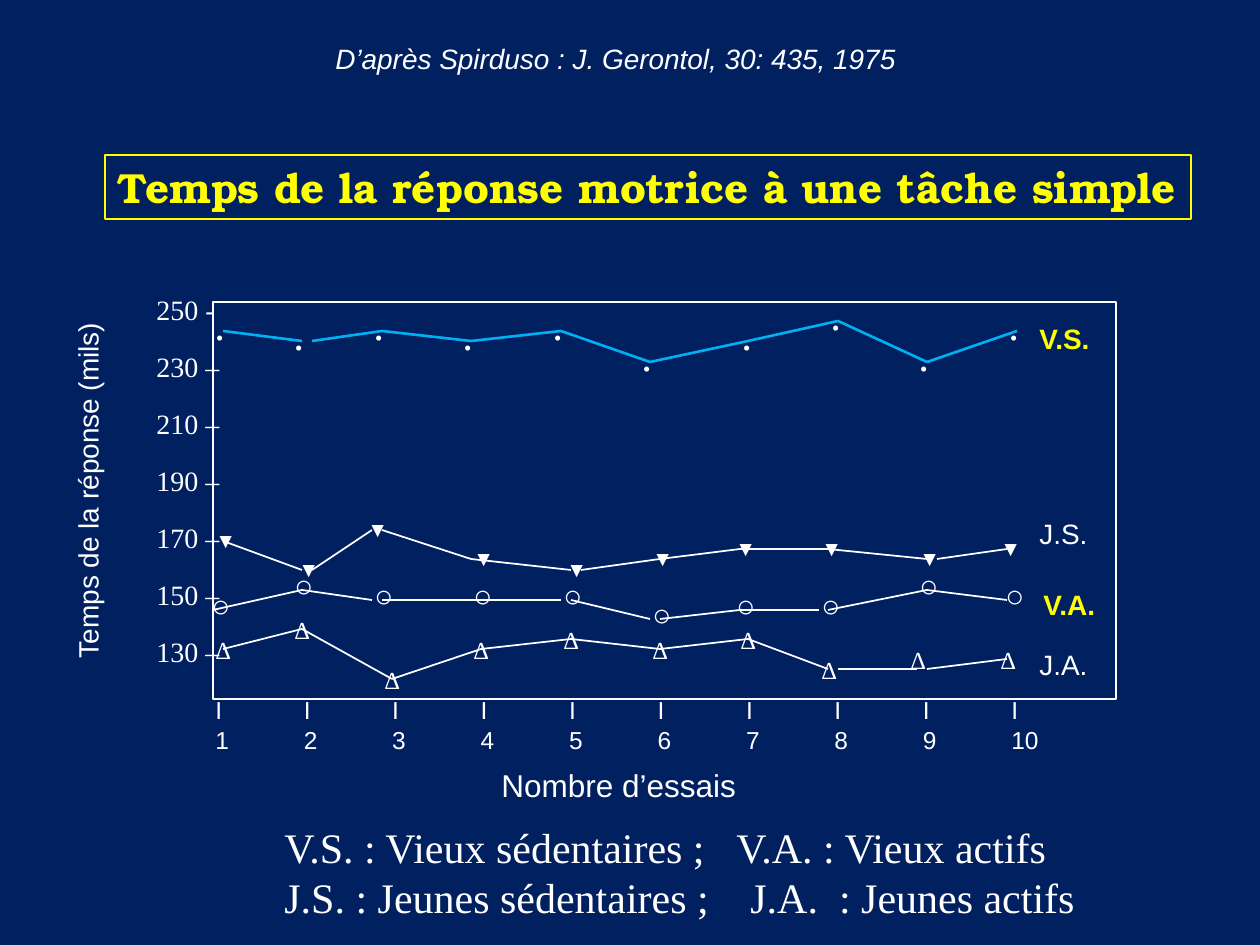
import dataclasses

import lxml.etree
import pptx
import pptx.dml.color
import pptx.enum.shapes
import pptx.enum.text
import pptx.oxml.ns
import pptx.util


@dataclasses.dataclass(frozen=True)
class Theme:
    """Colours, fonts and type sizes of the slide."""
    navy: str = "002060"
    white: str = "FFFFFF"
    yellow: str = "FFFF00"
    blue: str = "00B0F0"
    sans: str = "Arial"
    narrow: str = "Arial Narrow"
    serif: str = "Times New Roman"
    comic: str = "Comic Neue"
    display: str = "TeX Gyre Bonum"
    title: int = 24
    axis_title: int = 18
    body: int = 16
    tick: int = 14
    small: int = 12


@dataclasses.dataclass(frozen=True)
class Series:
    """One curve: segments share the level where they meet, markers sit above it."""
    name: str
    label_box: tuple
    label_color: str
    line_color: str
    line_width: float
    starts: tuple
    ends: tuple
    levels: tuple
    marker: str
    marker_font: str
    marker_size: int
    marker_box: tuple
    marker_lefts: tuple
    marker_lifts: tuple
    bold: bool = False


THEME = Theme()

SERIES = (
    Series("V.S.", (814, 13, 78, 47), THEME.yellow, THEME.blue, 1.5,
           (10, 99, 169, 258, 348, 437, 535, 625, 714),
           (89, 169, 258, 348, 437, 535, 625, 714, 804),
           (29, 39, 29, 39, 29, 60, 39, 19, 60, 29),
           "•", THEME.comic, THEME.body, (38, 47),
           (-10, 69, 149, 238, 328, 417, 517, 606, 694, 784), (20,) * 10),
    Series("J.S.", (814, 208, 74, 47), THEME.white, THEME.white, 1,
           (10, 99, 169, 258, 368, 447, 527, 615, 724),
           (89, 159, 258, 358, 447, 527, 615, 714, 794),
           (239, 268, 228, 257, 268, 257, 247, 247, 257, 247),
           "▼", THEME.narrow, THEME.small, (47, 38),
           (-10, 73, 142, 248, 341, 427, 510, 596, 694, 775), (20,) * 10),
    Series("V.A.", (818, 279, 96, 47), THEME.yellow, THEME.white, 1,
           (0, 89, 169, 258, 358, 447, 527, 615, 714),
           (89, 159, 258, 348, 437, 527, 606, 714, 794),
           (308, 288, 298, 298, 298, 317, 308, 308, 288, 298),
           "○", THEME.narrow, THEME.axis_title, (44, 50),
           (-14, 69, 149, 248, 338, 427, 511, 596, 694, 780), (30,) * 10, True),
    Series("J.A.", (814, 339, 74, 47), THEME.white, THEME.white, 1,
           (10, 89, 179, 268, 358, 447, 535, 625, 714),
           (89, 179, 268, 358, 447, 535, 615, 704, 794),
           (347, 327, 377, 347, 337, 347, 337, 367, 367, 357),
           "Δ", THEME.serif, THEME.tick, (40, 42),
           (-10, 69, 159, 248, 338, 427, 515, 596, 685, 775), (20,) * 8 + (30, 20)),
)


def emu(pixels):
    """Turn px into EMU."""
    return pptx.util.Emu(round(pixels * 914400 / 126))


def color(value):
    """Turn a hex string into a colour."""
    return pptx.dml.color.RGBColor.from_string(value)


def within(box, part):
    """Move a part given relative to a box onto the slide."""
    return (box[0] + part[0], box[1] + part[1], *part[2:])


def outline(shape, line_color, width):
    """Give a shape a plain outline and no fill."""
    shape.fill.background()
    shape.line.color.rgb = color(line_color)
    shape.line.width = pptx.util.Pt(width)


def fill_text(shape, text, font, size, text_color=THEME.white, bold=False,
              italic=False, wrap=False):
    """Set and format the text of a shape."""
    frame = shape.text_frame
    frame.text = text
    frame.word_wrap = wrap
    frame.auto_size = pptx.enum.text.MSO_AUTO_SIZE.SHAPE_TO_FIT_TEXT
    frame.vertical_anchor = pptx.enum.text.MSO_ANCHOR.TOP
    for paragraph in frame.paragraphs:
        paragraph.alignment = pptx.enum.text.PP_ALIGN.LEFT
        for run in paragraph.runs:
            run.font.name = font
            run.font.size = pptx.util.Pt(size)
            run.font.color.rgb = color(text_color)
            run.font.bold = bold
            run.font.italic = italic


def add_text(slide, box, text, font, size, **style):
    """Add a text box."""
    shape = slide.shapes.add_textbox(*map(emu, box))
    fill_text(shape, text, font, size, **style)
    return shape


def add_tabs(paragraph, stops):
    """Set left tab stops on a paragraph."""
    name = pptx.oxml.ns.qn
    properties = paragraph._p.get_or_add_pPr()
    tabs = lxml.etree.SubElement(properties, name("a:tabLst"))
    for stop in stops:
        lxml.etree.SubElement(tabs, name("a:tab"), pos=str(emu(stop)), algn="l")


def add_line(slide, start, end, line_color, width):
    """Add a straight line without shadow."""
    line = slide.shapes.add_connector(
        pptx.enum.shapes.MSO_CONNECTOR.STRAIGHT, *map(emu, (*start, *end)))
    line.line.color.rgb = color(line_color)
    line.line.width = pptx.util.Pt(width)
    lxml.etree.SubElement(line._element.spPr, pptx.oxml.ns.qn("a:effectLst"))


def place_title(slide, box):
    """Place the framed title."""
    title = slide.shapes.title
    title.left, title.top, title.width, title.height = map(emu, box)
    fill_text(title, "Temps de la réponse motrice à une tâche simple",
              THEME.display, THEME.title, THEME.yellow, bold=True)
    title.text_frame.auto_size = pptx.enum.text.MSO_AUTO_SIZE.NONE
    outline(title, THEME.yellow, 1.5)


def draw_axes(slide, box):
    """Draw the plot frame, its scales and the axis titles."""
    frame = slide.shapes.add_shape(
        pptx.enum.shapes.MSO_SHAPE.RECTANGLE, *map(emu, box))
    frame.shadow.inherit = False
    outline(frame, THEME.white, 1)

    values = ["250 -"] + [f"{value} –" for value in range(230, 129, -20)]
    scale = add_text(slide, within(box, (-69, -39, 96, 471)), "\n".join(values),
                     THEME.serif, THEME.body)
    for paragraph in scale.text_frame.paragraphs:
        paragraph.line_spacing = 1.7

    rows = ("\t".join("I" * 10), "\t".join(map(str, range(1, 11))))
    trials = add_text(slide, within(box, (-10, 387, 870, 72)), "\n".join(rows),
                      THEME.sans, THEME.tick, wrap=True)
    for paragraph in trials.text_frame.paragraphs:
        add_tabs(paragraph, [796 * step / 9 for step in range(1, 10)])

    add_text(slide, within(box, (276, 458, 260, 50)), "Nombre d’essais",
             THEME.sans, THEME.axis_title)
    vertical = add_text(slide, within(box, (-307, 163, 364, 47)),
                        "Temps de la réponse (mils)", THEME.sans, THEME.body)
    vertical.rotation = 270


def draw_series(slide, box, series):
    """Draw the segments, markers and label of one curve."""
    segments = zip(series.starts, series.levels, series.ends, series.levels[1:])
    for start, level, end, next_level in segments:
        add_line(slide, within(box, (start, level)), within(box, (end, next_level)),
                 series.line_color, series.line_width)
    markers = zip(series.marker_lefts, series.levels, series.marker_lifts)
    for left, level, lift in markers:
        add_text(slide, within(box, (left, level - lift, *series.marker_box)),
                 series.marker, series.marker_font, series.marker_size,
                 bold=series.bold)
    add_text(slide, within(box, series.label_box), series.name, THEME.sans, THEME.body,
             text_color=series.label_color, bold=series.label_color == THEME.yellow)


def place_legend(slide, box):
    """Explain the abbreviations of the curves."""
    text = ("V.S. : Vieux sédentaires ;\tV.A. : Vieux actifs\n"
            "J.S. : Jeunes sédentaires ;\tJ.A.  : Jeunes actifs")
    legend = add_text(slide, box, text, THEME.serif, THEME.title, wrap=True)
    for paragraph, stop in zip(legend.text_frame.paragraphs, (452, 466)):
        add_tabs(paragraph, [stop])


def main():
    """Build the slide and save it."""
    presentation = pptx.Presentation()
    presentation.slide_width, presentation.slide_height = emu(1260), emu(945)
    slide = presentation.slides.add_slide(presentation.slide_layouts[5])
    slide.background.fill.solid()
    slide.background.fill.fore_color.rgb = color(THEME.navy)

    plot = (213, 302, 903, 397)
    draw_axes(slide, plot)
    for series in SERIES:
        draw_series(slide, plot, series)
    place_title(slide, (105, 155, 1086, 64))
    place_legend(slide, (272, 815, 824, 115))
    add_text(slide, (323, 35, 587, 47), "D’après Spirduso : J. Gerontol, 30: 435, 1975",
             THEME.sans, THEME.body, italic=True)
    presentation.save("out.pptx")


if __name__ == "__main__":
    main()
